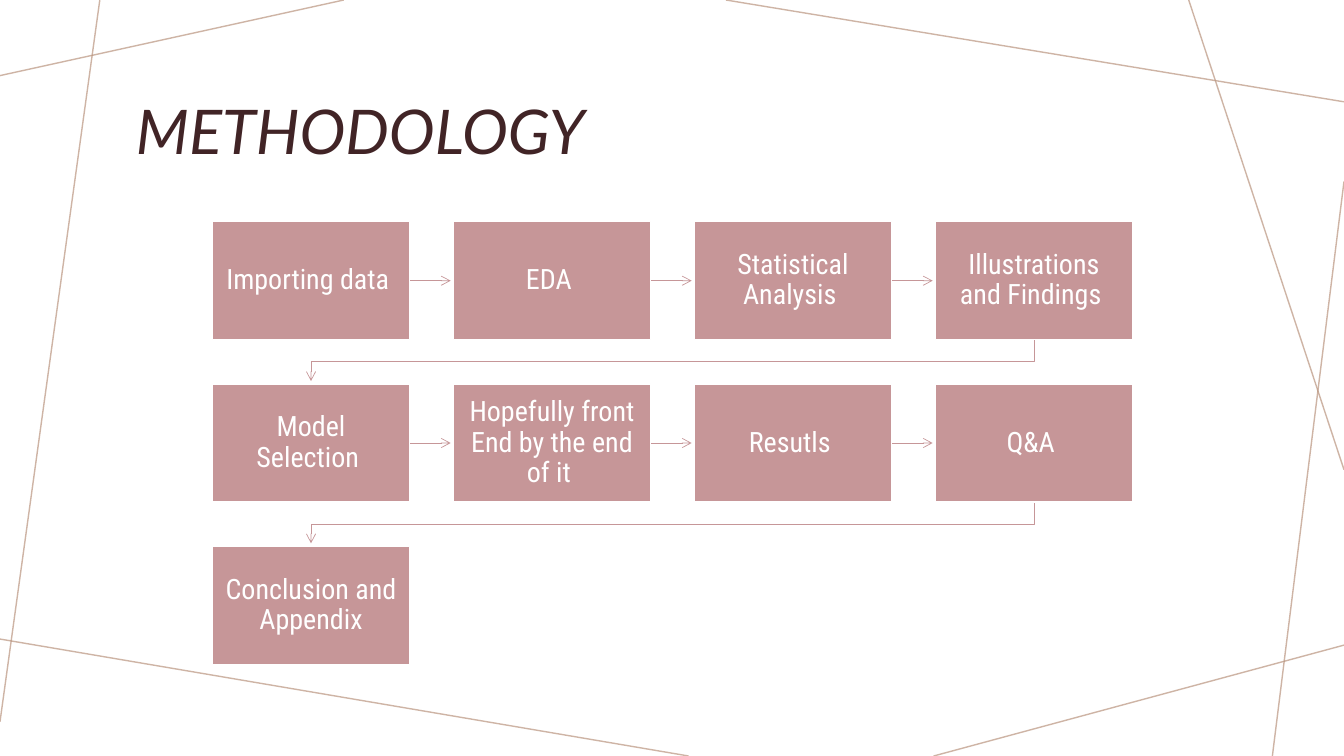
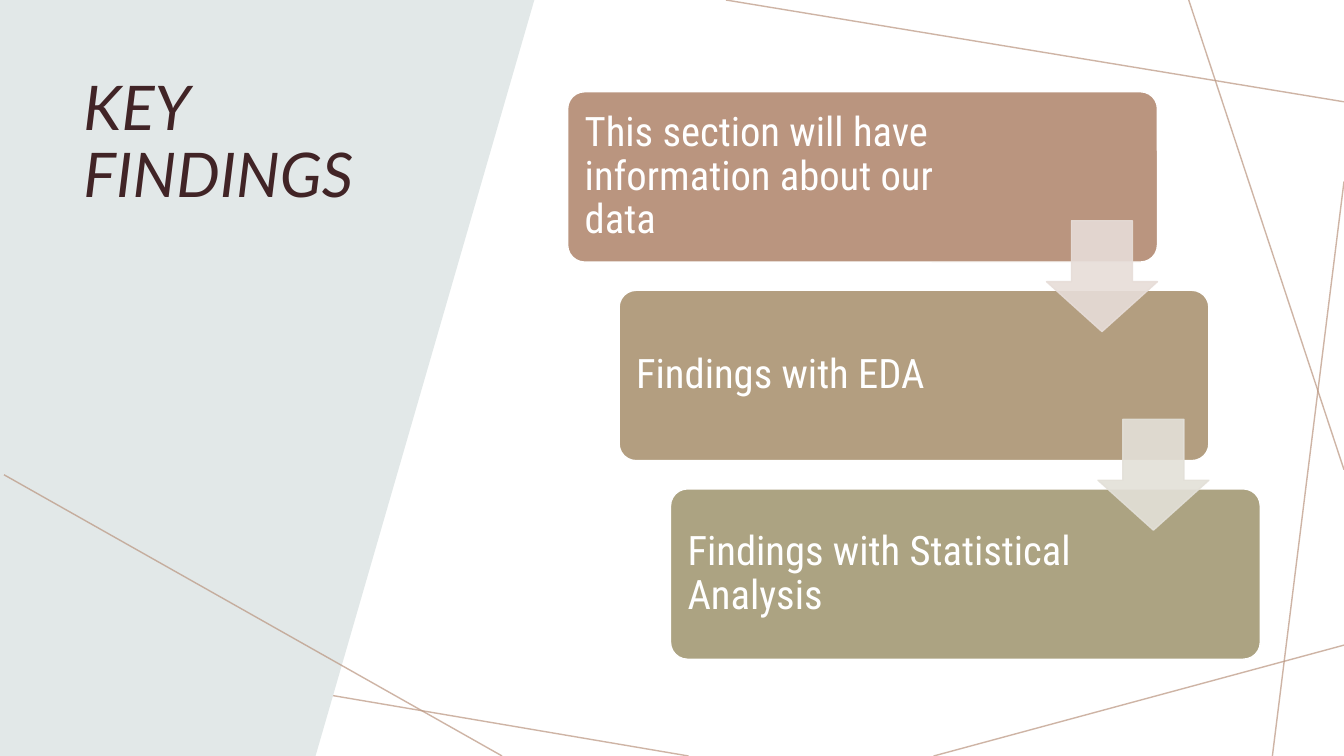
"""Builds a process-flow slide and a key-findings slide in one shared style."""
from pptx import Presentation
from pptx.dml.color import RGBColor
from pptx.enum.shapes import MSO_CONNECTOR as Link, MSO_SHAPE as Preset
from pptx.enum.text import MSO_ANCHOR as Anchor, PP_ALIGN as Align
from pptx.oxml.ns import qn
from pptx.util import Inches, Pt
from lxml.etree import SubElement

COLORS = {
    "title": "412426", "white": "FFFFFF", "panel": "E2E8E8",
    "rose": "C69698", "clay": "BA957F", "sand": "B39E80", "olive": "ACA382",
    "pale_clay": "E7DDD8", "pale_olive": "E3E0D8",
}
BACKDROP = [
    (3.41, 0, 0, 0.75), (0.99, 0, 0, 7.16), (6.83, 7.5, 0, 6.34),
    (13.33, 6.4, 9.26, 7.5), (13.33, 1.8, 12.62, 7.5),
    (13.33, 4.66, 11.79, 0), (13.33, 1.01, 7.2, 0),
]
STEPS = [
    "Importing data ", "EDA ", "Statistical Analysis ",
    "Illustrations and Findings ", "Model Selection ",
    "Hopefully front End by the end of it ", "Resutls ", "Q&A ",
    "Conclusion and Appendix",
]
FINDINGS = [
    ("This section will have information about our data", "clay", "pale_clay"),
    ("Findings with EDA", "sand", "pale_olive"),
    ("Findings with Statistical Analysis", "olive", None),
]


class Deck:
    def __init__(self):
        self.deck = Presentation()
        self.deck.slide_width, self.deck.slide_height = Inches(13.33), Inches(7.5)
        self.page = None

    def new_page(self):
        self.page = self.deck.slides.add_slide(self.deck.slide_layouts[6])
        for ends in BACKDROP:
            self.line(*ends)

    def fade(self, shape, percent):
        for color in shape.element.spPr.iter(qn("a:srgbClr")):
            SubElement(color, qn("a:alpha"), val=str(percent * 1000))

    def stroke(self, shape, color, width, arrow=False):
        shape.line.color.rgb = RGBColor.from_string(COLORS[color])
        shape.line.width = Pt(width)
        if arrow:
            outline = shape.element.spPr.find(qn("a:ln"))
            SubElement(outline, qn("a:tailEnd"), type="arrow")

    def fill(self, shape, color):
        shape.shadow.inherit = False
        shape.fill.solid()
        shape.fill.fore_color.rgb = RGBColor.from_string(COLORS[color])

    def link(self, x1, y1, x2, y2):
        return self.page.shapes.add_connector(
            Link.STRAIGHT, Inches(x1), Inches(y1), Inches(x2), Inches(y2))

    def line(self, *ends):
        line = self.link(*ends)
        self.stroke(line, "clay", 1)
        self.fade(line, 70)
        SubElement(line.element.spPr, qn("a:effectLst"))

    def arrow(self, *ends):
        arrow = self.link(*ends)
        self.stroke(arrow, "rose", 0.5, arrow=True)
        SubElement(arrow.element.spPr, qn("a:effectLst"))

    def outline(self, points, close):
        start, *rest = [(Inches(x), Inches(y)) for x, y in points]
        builder = self.page.shapes.build_freeform(*start)
        builder.add_line_segments(rest, close=close)
        return builder.convert_to_shape()

    def elbow(self, points):
        elbow = self.outline(points, close=False)
        elbow.shadow.inherit = False
        elbow.fill.background()
        self.stroke(elbow, "rose", 0.5, arrow=True)

    def panel(self, points):
        panel = self.outline(points, close=True)
        self.fill(panel, "panel")
        panel.line.fill.background()

    def set_text(self, shape, text, size, font, color, align, anchor, insets,
                 italic=False):
        frame = shape.text_frame
        frame.word_wrap = True
        frame.vertical_anchor = anchor
        (frame.margin_left, frame.margin_top,
         frame.margin_right, frame.margin_bottom) = map(Inches, insets)
        para = frame.paragraphs[0]
        para.text, para.alignment, para.line_spacing = text, align, 0.9
        para.font.name, para.font.size, para.font.italic = font, Pt(size), italic
        para.font.color.rgb = RGBColor.from_string(COLORS[color])

    def title(self, text, area, anchor):
        box = self.page.shapes.add_textbox(*map(Inches, area))
        self.set_text(box, text, 44, "Lato", "title", Align.LEFT, anchor,
                      (0.1, 0.05, 0.1, 0.05), italic=True)

    def block(self, preset, area, color, edge="white", adjust=()):
        block = self.page.shapes.add_shape(preset, *map(Inches, area))
        for index, value in enumerate(adjust):
            block.adjustments[index] = value
        self.fill(block, color)
        self.stroke(block, edge, 1)
        return block

    def step(self, text, area):
        box = self.block(Preset.RECTANGLE, area, "rose")
        self.set_text(box, text, 20, "Roboto Condensed", "white",
                      Align.CENTER, Anchor.MIDDLE, (0.1,) * 4)

    def finding(self, text, area, color):
        box = self.block(Preset.ROUNDED_RECTANGLE, area, color, adjust=(0.1,))
        self.set_text(box, text, 29, "Roboto Condensed", "white",
                      Align.LEFT, Anchor.MIDDLE, (0.12, 0.12, 1.74, 0.12))

    def down_arrow(self, area, color):
        arrow = self.block(Preset.DOWN_ARROW, area, color, color, (0.55, 0.45))
        self.fade(arrow, 90)


def methodology(deck):
    deck.new_page()
    deck.title("METHODOLOGY", (1.25, 0.58, 10.83, 1.51), Anchor.MIDDLE)
    left, top, width, height, columns = 2.11, 2.2, 1.95, 1.17, 4
    pitch_x, pitch_y = 2.39, 1.61
    for index, text in enumerate(STEPS):
        row, column = divmod(index, columns)
        x, y = left + column * pitch_x, top + row * pitch_y
        if column < columns - 1 and index < len(STEPS) - 1:
            middle = y + height / 2
            deck.arrow(x + width, middle, x + pitch_x - 0.03, middle)
        elif index < len(STEPS) - 1:
            start, end = x + width / 2, left + width / 2
            bottom = y + height
            turn = (bottom + y + pitch_y) / 2
            deck.elbow([(start, bottom), (start, turn), (end, turn),
                        (end, y + pitch_y - 0.03)])
        deck.step(text, (x, y, width, height))


def key_findings(deck):
    deck.new_page()
    deck.panel([(3.13, 7.5), (0, 7.5), (0, 0), (5.3, 0)])
    deck.title("KEY FINDINGS", (0.73, 0.72, 3.53, 3.9), Anchor.TOP)
    deck.line(0.04, 4.71, 4.98, 7.5)
    corners = [(5.63 + 0.51 * index, 0.91 + 1.97 * index)
               for index in range(len(FINDINGS))]
    for (x, y), (text, color, _) in zip(corners, FINDINGS):
        deck.finding(text, (x, y, 5.85, 1.69), color)
    for (x, y), (_, _, color) in zip(corners, FINDINGS):
        if color:
            deck.down_arrow((x + 4.75, y + 1.28, 1.1, 1.1), color)


def main():
    slides = Deck()
    methodology(slides)
    key_findings(slides)
    slides.deck.save("out.pptx")


if __name__ == "__main__":
    main()
